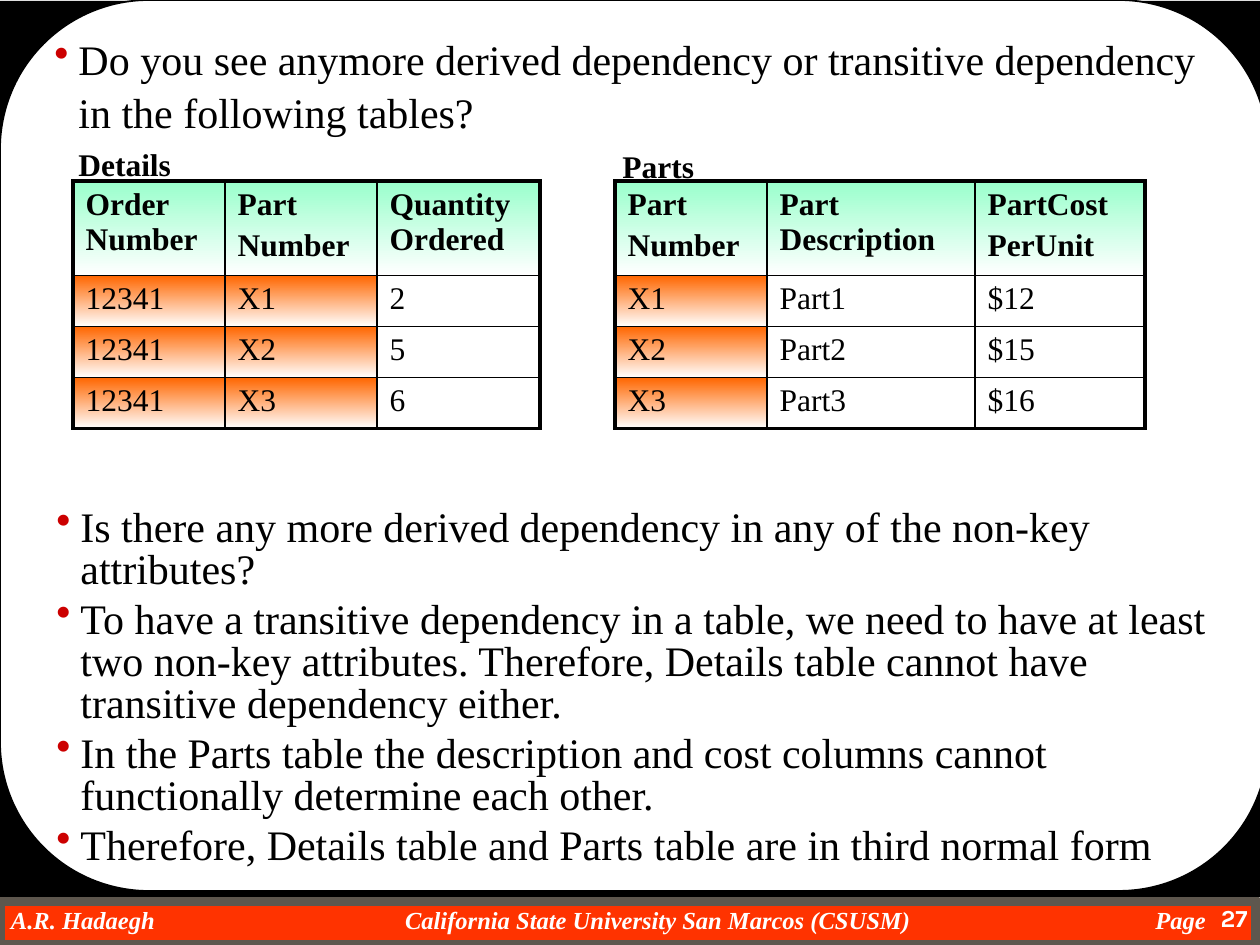
from pptx import Presentation
from pptx.dml.color import RGBColor
from pptx.enum.shapes import MSO_SHAPE
from pptx.enum.text import PP_ALIGN
from pptx.oxml import parse_xml
from pptx.oxml.ns import nsdecls
from pptx.util import Emu, Pt

RECT, ROUNDED = MSO_SHAPE.RECTANGLE, MSO_SHAPE.ROUNDED_RECTANGLE
LEFT, RIGHT = PP_ALIGN.LEFT, PP_ALIGN.RIGHT
SERIF, SANS = "Times New Roman", "Karla"
BLACK, WHITE, RED, MINT, ORANGE = "000000", "FFFFFF", "CC0000", "99FFCC", "FF6600"
THIN, THICK = 1, 2.25
ROW_HEIGHTS = [94, 51, 51, 51]
INDENT = 24


def px(n):
    return Emu(round(n * 914400 / 126))


def rgb(color):
    return RGBColor.from_string(color)


def add_run(p, text, size, color=BLACK, bold=False, italic=False, font=SERIF):
    r = p.add_run()
    r.text = text
    f = r.font
    f.name, f.size, f.bold, f.italic = font, Pt(size), bold, italic
    f.color.rgb = rgb(color)


def add_box(s, kind, x, y, w, h, fill, line=None, width=1):
    sp = s.shapes.add_shape(kind, px(x), px(y), px(w), px(h))
    sp.shadow.inherit = False
    sp.fill.solid()
    sp.fill.fore_color.rgb = rgb(fill)
    if line:
        sp.line.color.rgb = rgb(line)
        sp.line.width = Pt(width)
    else:
        sp.line.fill.background()
    return sp


def add_text(s, x, y, w, h, wrap=True):
    tf = s.shapes.add_textbox(px(x), px(y), px(w), px(h)).text_frame
    tf.word_wrap = wrap
    return tf


def add_label(s, x, y, w, h, text):
    tf = add_text(s, x, y, w, h, wrap=False)
    add_run(tf.paragraphs[0], text, 18, bold=True)


def add_bullets(s, x, y, w, h, items, spacing):
    tf = add_text(s, x, y, w, h)
    for i, item in enumerate(items):
        p = tf.add_paragraph() if i else tf.paragraphs[0]
        pPr = p._p.get_or_add_pPr()
        pPr.set("marL", str(px(INDENT)))
        pPr.set("indent", str(-px(INDENT)))
        pPr.append(parse_xml(
            f'<a:buClr {nsdecls("a")}><a:srgbClr val="{RED}"/></a:buClr>'))
        pPr.append(parse_xml(f'<a:buChar {nsdecls("a")} char="•"/>'))
        p.line_spacing = spacing
        p.space_before = Pt(4.8 if i else 0)
        add_run(p, item, 24)


def add_footer(s, texts, center, right):
    x = 11
    tf = add_text(s, x, 905, 1209, 29)
    tf.margin_left = tf.margin_right = tf.margin_top = tf.margin_bottom = 0
    p = tf.paragraphs[0]
    p._p.get_or_add_pPr().append(parse_xml(
        f'<a:tabLst {nsdecls("a")}><a:tab pos="{px(center - x)}" algn="ctr"/>'
        f'<a:tab pos="{px(right - x)}" algn="r"/></a:tabLst>'))
    add_run(p, "\t".join(texts), 14, WHITE, bold=True, italic=True)


def set_borders(cell, widths):
    """Put left, right, top and bottom lines ahead of the cell's fill."""
    tcPr = cell._tc.get_or_add_tcPr()
    for i, (side, width) in enumerate(zip("LRTB", widths)):
        tcPr.insert(i, parse_xml(
            f'<a:ln{side} {nsdecls("a")} w="{Pt(width)}"><a:solidFill>'
            f'<a:srgbClr val="{BLACK}"/></a:solidFill></a:ln{side}>'))


def fill_cell(cell, color):
    if not color:
        cell.fill.background()
        return
    cell.fill.gradient()
    cell.fill.gradient_angle = 270
    for stop, position, c in zip(cell.fill.gradient_stops, (0, 1), (color, WHITE)):
        stop.position = position
        stop.color.rgb = rgb(c)


def add_relation(s, x, y, widths, rows, keys, tight):
    """Draw a table; the first `keys` columns are the key, `tight` heads have no gap."""
    last_row, last_col = len(rows) - 1, len(widths) - 1
    table = s.shapes.add_table(len(rows), len(widths), px(x), px(y),
                               px(sum(widths)), px(sum(ROW_HEIGHTS))).table
    table.first_row = table.horz_banding = False
    for column, w in zip(table.columns, widths):
        column.width = px(w)
    for i, row in enumerate(rows):
        table.rows[i].height = px(ROW_HEIGHTS[i])
        for j, text in enumerate(row):
            cell = table.cell(i, j)
            for k, line in enumerate(text.split("\n")):
                tf = cell.text_frame
                p = tf.add_paragraph() if k else tf.paragraphs[0]
                p.space_before = Pt(3.6 if k and j != tight else 0)
                add_run(p, line, 18, bold=i == 0)
            fill_cell(cell, MINT if i == 0 else ORANGE if j < keys else None)
            edges = (j == 0, j == last_col, i == 0, i == last_row)
            set_borders(cell, [THICK if edge else THIN for edge in edges])


def main():
    prs = Presentation()
    prs.slide_width, prs.slide_height = px(1260), px(945)
    s = prs.slides.add_slide(prs.slide_layouts[6])

    # Frame and footer
    add_box(s, RECT, 0, 901, 1256, 44, "FF3300", "5E574E", 6)
    add_footer(s, ["A.R. Hadaegh", "California State University San Marcos (CSUSM)",
                   "Page"], center=658, right=1206)
    add_box(s, RECT, 0, 1, 1260, 896, BLACK)
    panel = add_box(s, ROUNDED, 0, 0, 1268, 891, WHITE, BLACK)
    panel.adjustments[0] = 149 / 891
    p = add_text(s, 1165, 897, 95, 48).paragraphs[0]
    p.alignment = RIGHT
    add_run(p, "27", 14, WHITE, bold=True, font=SANS)

    # Opening question
    add_bullets(s, 42, 25, 1181, 113, [
        "Do you see anymore derived dependency or transitive dependency "
        "in the following tables?"], 1.05)

    # Tables and their names
    add_relation(s, 73, 181, [152, 152, 163], [
        ["Order Number", "Part\nNumber", "Quantity\nOrdered"],
        ["12341", "X1", "2"],
        ["12341", "X2", "5"],
        ["12341", "X3", "6"]], keys=2, tight=2)
    add_relation(s, 615, 181, [152, 208, 170], [
        ["Part\nNumber", "Part\nDescription", "PartCost\nPerUnit"],
        ["X1", "Part1", "$12"],
        ["X2", "Part2", "$15"],
        ["X3", "Part3", "$16"]], keys=1, tight=1)
    add_label(s, 66, 139, 118, 50, "Details")
    add_label(s, 610, 141, 97, 50, "Parts")

    # Conclusions
    add_bullets(s, 44, 503, 1181, 365, [
        "Is there any more derived dependency in any of the non-key attributes?",
        "To have a transitive dependency in a table, we need to have at least two "
        "non-key attributes. Therefore, Details table cannot have transitive "
        "dependency either.",
        "In the Parts table the description and cost columns cannot functionally "
        "determine each other.",
        "Therefore, Details table and Parts table are in third normal form"], 0.83)

    prs.save("out.pptx")


if __name__ == "__main__":
    main()
